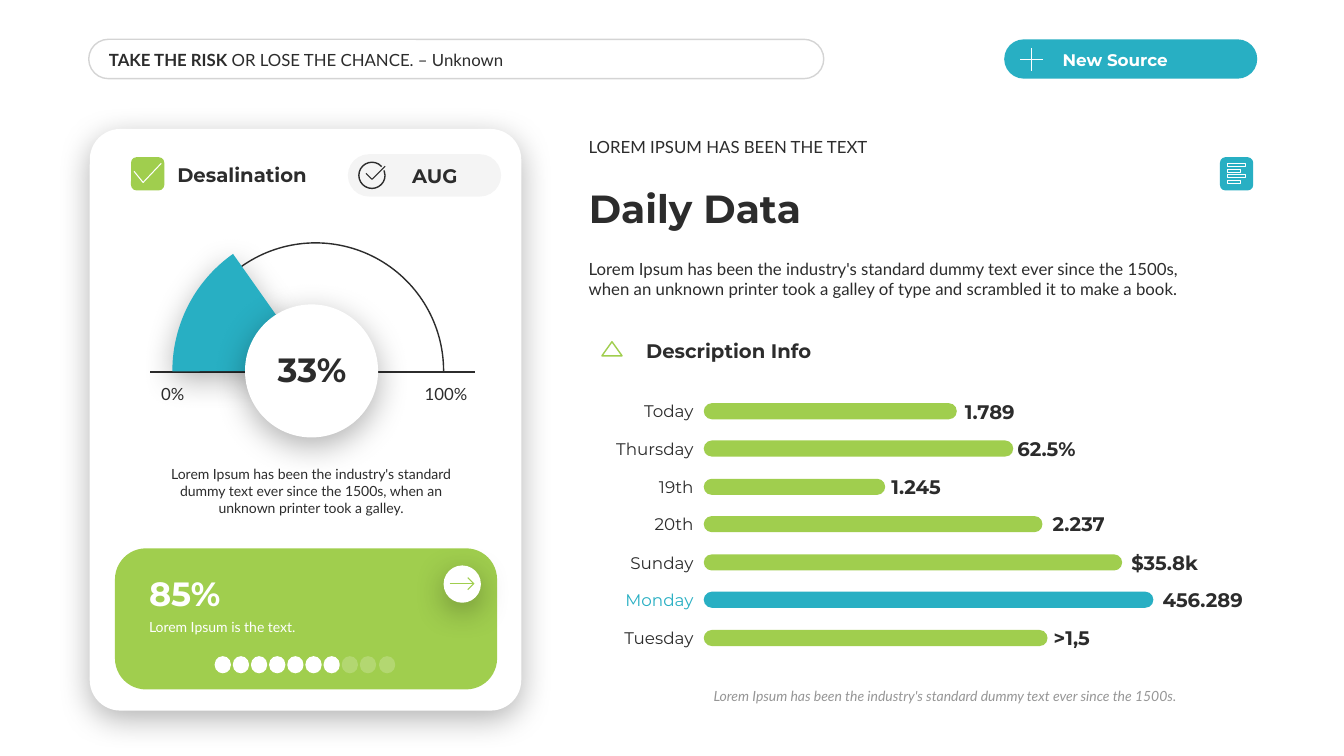
"""Build a dashboard slide with a gauge card and a list of daily bars."""

import dataclasses
import typing

import lxml.etree
import pptx
import pptx.dml.color
import pptx.enum.shapes
import pptx.enum.text
import pptx.oxml.ns
import pptx.shapes.autoshape
import pptx.shapes.base
import pptx.slide
import pptx.util

PX = 9144
DARK = pptx.dml.color.RGBColor(0x2C, 0x2C, 0x2C)
GRAY = pptx.dml.color.RGBColor(0x96, 0x96, 0x96)
WHITE = pptx.dml.color.RGBColor(0xFF, 0xFF, 0xFF)
BLUE = pptx.dml.color.RGBColor(0x28, 0xAF, 0xC3)
GREEN = pptx.dml.color.RGBColor(0xA0, 0xCE, 0x4E)
LATO = "Lato"
MONTSERRAT = "Montserrat"

Kind = pptx.enum.shapes.MSO_SHAPE
Align = pptx.enum.text.PP_ALIGN
Anchor = pptx.enum.text.MSO_ANCHOR
Color = pptx.dml.color.RGBColor
Slide = pptx.slide.Slide
Box = tuple[int, int, int, int]
Point = tuple[int, int]
qn = pptx.oxml.ns.qn


@dataclasses.dataclass
class Panel:
    """A preset shape with its fill, outline and adjustments."""

    kind: Kind
    box: Box
    fill: typing.Optional[Color] = None
    line: typing.Optional[Color] = None
    adjust: tuple[float, ...] = ()
    opacity: int = 100
    shadow: bool = False


@dataclasses.dataclass
class Icon:
    """A drawing made of strokes in one colour."""

    color: Color
    strokes: list[list[Point]]
    closed: bool = False


@dataclasses.dataclass
class Day:
    """One row of the bar list."""

    name: str
    length: int
    value: str
    value_left: int
    color: Color = GREEN
    name_color: Color = DARK


DAYS = [
    Day("Today", 251, "1.789", 957),
    Day("Thursday", 307, "62.5%", 1009),
    Day("19th", 180, "1.245", 884),
    Day("20th", 336, "2.237", 1044),
    Day("Sunday", 415, "$35.8k", 1122),
    Day("Monday", 446, "456.289", 1153, BLUE, BLUE),
    Day("Tuesday", 341, ">1,5", 1045),
]


def place(shape: pptx.shapes.base.BaseShape, box: Box) -> None:
    """Move and size a shape in px."""
    shape.left, shape.top, shape.width, shape.height = (length * PX for length in box)


def arc_angles(*degrees: float) -> tuple[float, ...]:
    """Turn degrees into the adjustment values of an arc."""
    return tuple(degree * 0.6 for degree in degrees)


def paint(shape: pptx.shapes.autoshape.Shape, fill: typing.Optional[Color],
          line: typing.Optional[Color], weight: float = 1) -> None:
    """Set fill and outline and remove the theme shadow."""
    shape.shadow.inherit = False
    for part, color in ((shape.fill, fill), (shape.line.fill, line)):
        if color is None:
            part.background()
        else:
            part.solid()
            part.fore_color.rgb = color
    if line is not None:
        shape.line.width = pptx.util.Pt(weight)


def add_alpha(color: lxml.etree._Element, percent: int) -> None:
    """Give a colour element an opacity."""
    lxml.etree.SubElement(color, qn("a:alpha"), val=str(percent * 1000))


def add_panel(slide: Slide, panel: Panel) -> None:
    """Draw a preset shape."""
    shape = slide.shapes.add_shape(panel.kind, 0, 0, PX, PX)
    place(shape, panel.box)
    for index, value in enumerate(panel.adjust):
        shape.adjustments[index] = value
    paint(shape, panel.fill, panel.line)
    properties = shape.element.spPr
    if panel.opacity < 100:
        for color in properties.iter(qn("a:srgbClr")):
            add_alpha(color, panel.opacity)
    if panel.shadow:
        outer = lxml.etree.SubElement(
            properties.find(qn("a:effectLst")), qn("a:outerShdw"),
            blurRad=str(pptx.util.Pt(23)), dist=str(pptx.util.Pt(6)),
            dir="5400000", algn="t", rotWithShape="0")
        add_alpha(lxml.etree.SubElement(outer, qn("a:srgbClr"), val="000000"), 30)


def add_icon(slide: Slide, icon: Icon) -> None:
    """Draw the strokes of an icon as one freeform."""
    builder = slide.shapes.build_freeform(*icon.strokes[0][0], scale=PX)
    for index, stroke in enumerate(icon.strokes):
        if index:
            builder.move_to(*stroke[0])
        builder.add_line_segments(stroke[1:], close=icon.closed)
    paint(builder.convert_to_shape(), None, icon.color, 0.75)


def add_text(slide: Slide, text: str, box: Box, *, size: int = 12, font: str = LATO,
             color: Color = DARK, bold: bool = False, italic: bool = False, lead: str = "",
             align: Align = Align.LEFT, anchor: Anchor = Anchor.MIDDLE, inset: int = 10,
             wrap: bool = True, title: bool = False) -> None:
    """Write text, with an optional bold lead, in a text box or the title."""
    shape = slide.shapes.title if title else slide.shapes.add_textbox(0, 0, PX, PX)
    place(shape, box)
    frame = shape.text_frame
    frame.auto_size = pptx.enum.text.MSO_AUTO_SIZE.NONE
    frame.word_wrap = wrap
    frame.vertical_anchor = anchor
    frame.margin_left = frame.margin_right = inset * PX
    frame.margin_top = frame.margin_bottom = 5 * PX
    paragraph = frame.paragraphs[0]
    paragraph.alignment = align
    for part, heavy in ((lead, True), (text, bold)):
        if part:
            run = paragraph.add_run()
            run.text = part
            run.font.name, run.font.size = font, pptx.util.Pt(size)
            run.font.bold, run.font.italic = heavy, italic
            run.font.color.rgb = color


def add_baseline(slide: Slide, start: Point, end: Point) -> None:
    """Draw the line under the gauge."""
    connector = slide.shapes.add_connector(
        pptx.enum.shapes.MSO_CONNECTOR.STRAIGHT, *(length * PX for length in start + end))
    connector.line.color.rgb = DARK
    connector.line.width = pptx.util.Pt(1)
    lxml.etree.SubElement(connector.element.spPr, qn("a:effectLst"))


def add_header(slide: Slide) -> None:
    """Draw the quote field and the button."""
    add_panel(slide, Panel(Kind.ROUNDED_RECTANGLE, (88, 39, 729, 39), line=DARK,
                           adjust=(0.5,), opacity=20))
    add_text(slide, "OR LOSE THE CHANCE. – Unknown", (104, 44, 651, 30),
             lead="TAKE THE RISK ", inset=4)
    add_panel(slide, Panel(Kind.ROUNDED_RECTANGLE, (996, 39, 251, 39), BLUE, adjust=(0.5,)))
    add_text(slide, "New Source", (1044, 44, 202, 30), font=MONTSERRAT, color=WHITE, bold=True)
    add_icon(slide, Icon(WHITE, [[(1012, 59), (1034, 59)], [(1023, 48), (1023, 70)]]))


def add_card(slide: Slide) -> None:
    """Draw the card with the gauge and the progress box."""
    heading = {"size": 14, "font": MONTSERRAT, "bold": True}
    figure = {"size": 24, "font": MONTSERRAT, "bold": True}
    add_panel(slide, Panel(Kind.ROUNDED_RECTANGLE, (89, 128, 428, 577), WHITE,
                           adjust=(0.071,), shadow=True))
    add_panel(slide, Panel(Kind.ROUNDED_RECTANGLE, (130, 156, 33, 33), GREEN))
    add_icon(slide, Icon(WHITE, [[(133, 170), (142, 181), (160, 162)]]))
    add_text(slide, "Desalination", (166, 156, 159, 34), **heading)
    add_panel(slide, Panel(Kind.ROUNDED_RECTANGLE, (345, 153, 152, 42), DARK,
                           adjust=(0.5,), opacity=5))
    add_panel(slide, Panel(Kind.ARC, (356, 161, 26, 26), line=DARK, adjust=arc_angles(338, 318)))
    add_icon(slide, Icon(DARK, [[(363, 172), (369, 178), (382, 165)]]))
    add_text(slide, "AUG", (399, 157, 87, 34), **heading)

    add_panel(slide, Panel(Kind.ARC, (186, 241, 254, 254), line=DARK,
                           adjust=arc_angles(179.82, 0)))
    add_baseline(slide, (149, 369), (471, 369))
    for text, box in (("0%", (160, 381, 23, 20)), ("100%", (421, 381, 43, 20))):
        add_text(slide, text, box, align=Align.CENTER, inset=0, wrap=False)
    add_panel(slide, Panel(Kind.ARC, (171, 226, 284, 284), BLUE,
                           adjust=arc_angles(179.82, 234.8), shadow=True))
    add_text(slide, "Lorem Ipsum has been the industry's standard dummy text ever since the "
             "1500s, when an unknown printer took a galley.", (142, 457, 333, 61), size=10,
             align=Align.CENTER, anchor=Anchor.TOP)
    add_panel(slide, Panel(Kind.OVAL, (243, 302, 132, 132), WHITE, shadow=True))
    add_text(slide, "33%", (235, 341, 149, 50), align=Align.CENTER, **figure)

    add_panel(slide, Panel(Kind.ROUNDED_RECTANGLE, (114, 544, 379, 140), GREEN, adjust=(0.22,)))
    add_text(slide, "Lorem Ipsum is the text.", (138, 609, 200, 27), size=10, color=WHITE,
             anchor=Anchor.TOP)
    add_text(slide, "85%", (138, 563, 200, 50), color=WHITE, anchor=Anchor.BOTTOM, **figure)
    for index in range(10):
        add_panel(slide, Panel(Kind.ROUNDED_RECTANGLE, (213 + index * 163 // 9, 651, 16, 17),
                               WHITE, adjust=(0.5,), opacity=100 if index < 7 else 20))
    add_panel(slide, Panel(Kind.OVAL, (440, 561, 37, 37), WHITE, shadow=True))
    add_icon(slide, Icon(GREEN, [[(446, 579), (470, 579)],
                                 [(464, 573), (470, 579), (464, 585)]]))


def add_daily_data(slide: Slide) -> None:
    """Write the headings and draw one bar for each day."""
    add_text(slide, "Lorem Ipsum has been the industry's standard dummy text ever since the "
             "1500s, when an unknown printer took a galley of type and scrambled it to make "
             "a book.", (574, 252, 622, 50), anchor=Anchor.TOP)
    add_text(slide, "Daily Data", (574, 178, 622, 57), size=28, font=MONTSERRAT, bold=True,
             anchor=Anchor.BOTTOM, title=True)
    add_text(slide, "LOREM IPSUM HAS BEEN THE TEXT", (574, 131, 622, 30), anchor=Anchor.BOTTOM)
    add_panel(slide, Panel(Kind.ROUNDED_RECTANGLE, (1210, 156, 33, 33), BLUE))
    add_icon(slide, Icon(WHITE, [
        [(1217, top), (right, top), (right, top + 3), (1217, top + 3)]
        for top, right in ((162, 1235), (168, 1230), (173, 1235), (179, 1230))], closed=True))
    add_text(slide, "Description Info", (631, 331, 496, 34), size=14, font=MONTSERRAT,
             bold=True, anchor=Anchor.BOTTOM)
    add_panel(slide, Panel(Kind.ISOSCELES_TRIANGLE, (597, 339, 20, 14), line=GREEN))
    for index, day in enumerate(DAYS):
        top = 393 + index * 75 // 2
        add_panel(slide, Panel(Kind.ROUNDED_RECTANGLE, (698, top + 7, day.length, 16),
                               day.color, adjust=(0.5,)))
        add_text(slide, day.name, (585, top, 103, 30), font=MONTSERRAT, color=day.name_color,
                 align=Align.RIGHT, inset=0)
        add_text(slide, day.value, (day.value_left, top - 2, 135, 34), size=14,
                 font=MONTSERRAT, bold=True, inset=0)
    add_text(slide, "Lorem Ipsum has been the industry's standard dummy text ever since the "
             "1500s.", (698, 677, 544, 27), size=10, color=GRAY, italic=True, anchor=Anchor.TOP)


def main() -> None:
    """Build and save the presentation."""
    presentation = pptx.Presentation()
    presentation.slide_width, presentation.slide_height = 1333 * PX, 750 * PX
    slide = presentation.slides.add_slide(presentation.slide_layouts[5])
    add_header(slide)
    add_card(slide)
    add_daily_data(slide)
    presentation.save("out.pptx")


if __name__ == "__main__":
    main()
